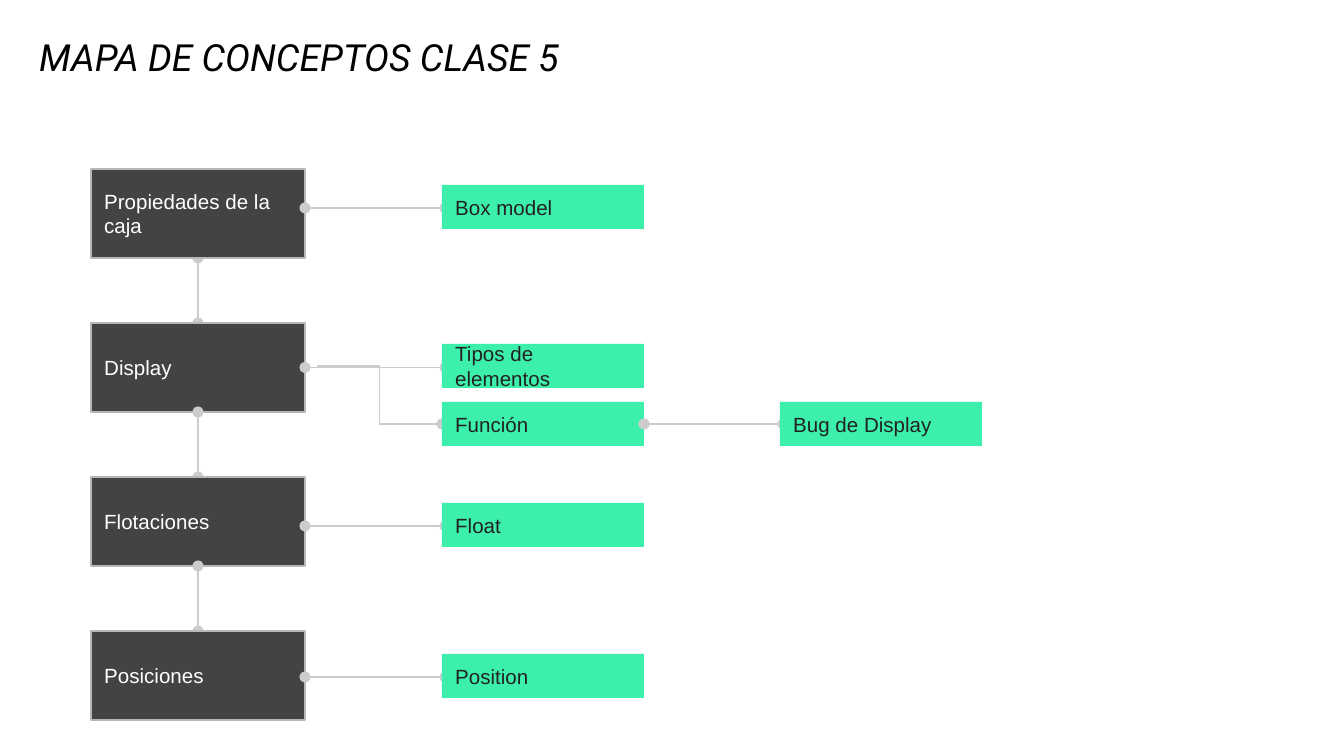
import pptx
import pptx.util
import pptx.dml.color
import pptx.enum.shapes
import pptx.enum.text
import pptx.oxml
import pptx.oxml.ns

PX = 914400 / 134.4
COLORS = {"topic": "434343", "topic_border": "B7B7B7", "topic_text": "FFFFFF",
          "concept": "3CEFAB", "concept_text": "222222",
          "link": "CCCCCC", "title": "000000"}

TITLE = "MAPA DE CONCEPTOS CLASE 5"
TOPICS = ["Propiedades de la caja", "Display", "Flotaciones", "Posiciones"]
# text, column, top, the box it is linked from
CONCEPTS = [
    ("Box model", 0, 185, "Propiedades de la caja"),
    ("Tipos de elementos", 0, 344, "Display"),
    ("Función", 0, 402, None),
    ("Bug de Display", 1, 402, "Función"),
    ("Float", 0, 503, "Flotaciones"),
    ("Position", 0, 654, "Posiciones"),
]

TOPIC_LEFT, TOPIC_TOP, TOPIC_STEP = 91, 169, 154
TOPIC_SIZE = (214, 89)
CONCEPT_LEFT, CONCEPT_STEP = 442, 338
CONCEPT_SIZE = (202, 44)
LINK_DROP, LINK_OVERLAP = 23, 3  # link end, measured inside a concept box
ELBOW_START = (317, 366)
TOP, LEFT, BOTTOM, RIGHT = range(4)
STRAIGHT = pptx.enum.shapes.MSO_CONNECTOR.STRAIGHT
ELBOW = pptx.enum.shapes.MSO_CONNECTOR.ELBOW


def px(length):
    return pptx.util.Emu(round(length * PX))


def rgb(name):
    return pptx.dml.color.RGBColor.from_string(COLORS[name])


def write(shape, text, font_name, size, color, anchor):
    frame = shape.text_frame
    frame.word_wrap = True
    frame.vertical_anchor = anchor
    frame.margin_left = frame.margin_right = pptx.util.Inches(0.1)
    frame.margin_top = frame.margin_bottom = pptx.util.Inches(0.1)
    paragraph = frame.paragraphs[0]
    paragraph.text = text
    paragraph.alignment = pptx.enum.text.PP_ALIGN.LEFT
    paragraph.font.name = font_name
    paragraph.font.size = pptx.util.Pt(size)
    paragraph.font.color.rgb = rgb(color)
    return paragraph


def add_box(slide, text, left, top, size, kind):
    box = slide.shapes.add_shape(pptx.enum.shapes.MSO_SHAPE.RECTANGLE,
                                 px(left), px(top), px(size[0]), px(size[1]))
    box.shadow.inherit = False
    box.fill.solid()
    box.fill.fore_color.rgb = rgb(kind)
    if kind == "topic":
        box.line.color.rgb = rgb("topic_border")
        box.line.width = pptx.util.Pt(0.75)
    else:
        box.line.fill.background()
    write(box, text, "Arial", 11, kind + "_text", pptx.enum.text.MSO_ANCHOR.MIDDLE)
    return box


def add_link(slide, start, end, behind, kind=STRAIGHT, ends=("headEnd", "tailEnd")):
    """Draw a link with round ends, stacked just below the box `behind`."""
    link = slide.shapes.add_connector(kind, *start, *end)
    link.line.color.rgb = rgb("link")
    link.line.width = pptx.util.Pt(0.75)
    properties = link._element.spPr
    outline = properties.find(pptx.oxml.ns.qn("a:ln"))
    namespace = pptx.oxml.ns.nsdecls("a")
    for tag in ends:
        outline.append(pptx.oxml.parse_xml(f'<a:{tag} {namespace} type="oval"/>'))
    properties.append(pptx.oxml.parse_xml(f"<a:effectLst {namespace}/>"))
    behind._element.addprevious(link._element)
    return link


def main():
    deck = pptx.Presentation()
    deck.slide_width, deck.slide_height = px(1344), px(756)
    slide = deck.slides.add_slide(deck.slide_layouts[6])

    title = slide.shapes.add_textbox(px(26), px(30), px(1110), px(62))
    heading = write(title, TITLE, "Roboto", 20, "title", pptx.enum.text.MSO_ANCHOR.BOTTOM)
    heading.font.italic = True

    boxes = {}
    for row, text in enumerate(TOPICS):
        boxes[text] = add_box(slide, text, TOPIC_LEFT, TOPIC_TOP + row * TOPIC_STEP,
                              TOPIC_SIZE, "topic")
    for text, column, top, _ in CONCEPTS:
        boxes[text] = add_box(slide, text, CONCEPT_LEFT + column * CONCEPT_STEP, top,
                              CONCEPT_SIZE, "concept")

    for upper, lower in zip(TOPICS, TOPICS[1:]):
        above, below = boxes[upper], boxes[lower]
        behind = above if upper == TOPICS[0] else below
        link = add_link(slide, (0, 0), (0, 0), behind)
        link.begin_connect(above, BOTTOM)
        link.end_connect(below, TOP)

    for text, _, top, source in CONCEPTS:
        if source is None:
            continue
        origin, target = boxes[source], boxes[text]
        y = px(top + LINK_DROP)
        middle = origin.top + origin.height // 2
        at_middle = abs(middle - y) <= px(1)
        if at_middle:
            y = middle
        link = add_link(slide, (origin.left + origin.width, y),
                        (target.left + px(LINK_OVERLAP), y), target)
        if at_middle:
            link.begin_connect(origin, RIGHT)

    function = boxes["Función"]
    elbow = add_link(slide, [px(value) for value in ELBOW_START],
                     (function.left, function.top + function.height // 2),
                     function, ELBOW, ["tailEnd"])
    elbow.end_connect(function, LEFT)

    deck.save("out.pptx")


if __name__ == "__main__":
    main()
